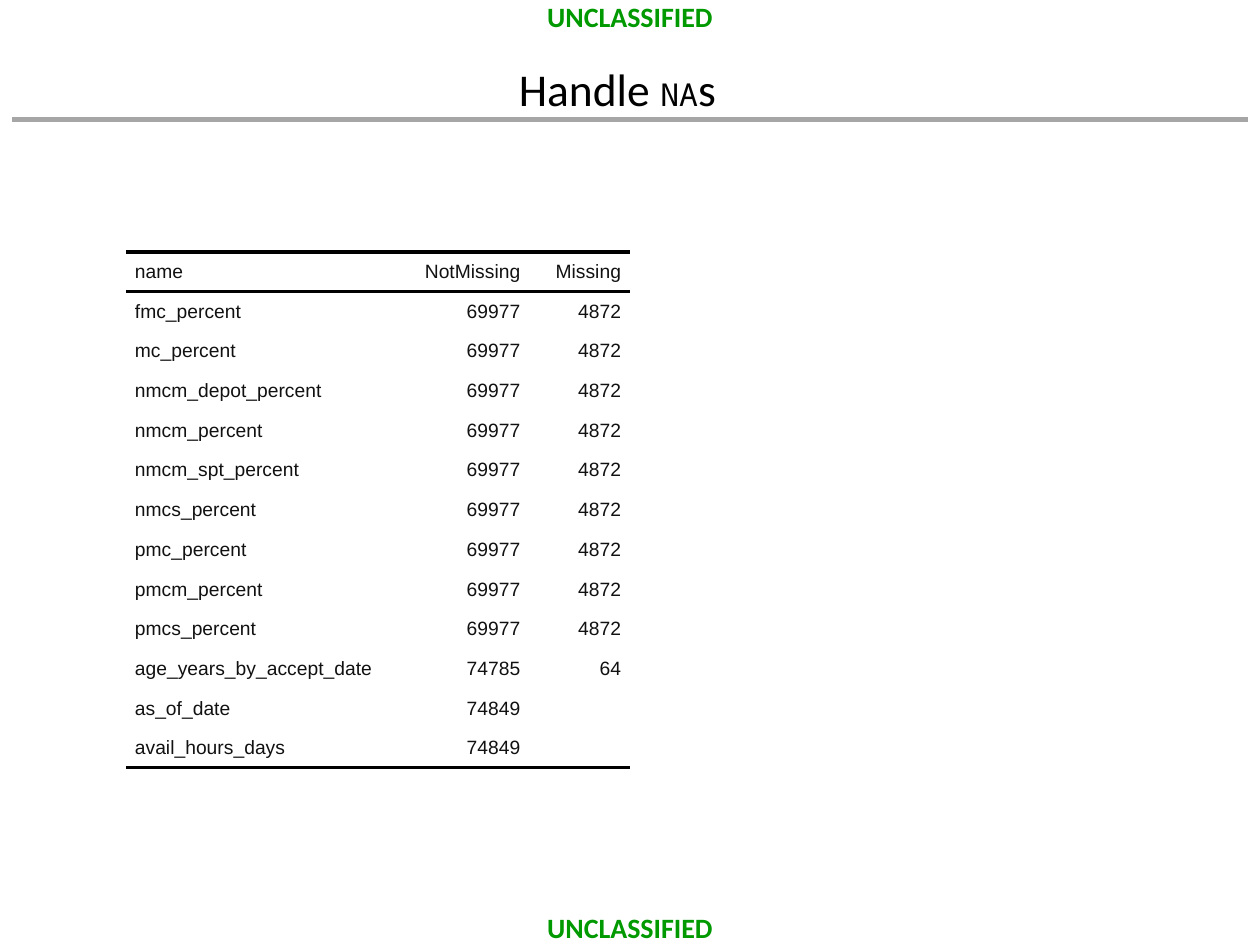
from lxml import etree
from pptx import Presentation
from pptx import util as u
from pptx.dml.color import RGBColor
from pptx.enum import shapes, text
from pptx.oxml import ns

INK = {"black": "000000", "cell": "111111", "mark": "009900", "rule": "A6A6A6"}
PLAIN = "{2D5ABB26-0587-4C30-8999-92F81FD0307C}"
HEAD = ("name", "NotMissing", "Missing")
RATES = ("fmc", "mc", "nmcm_depot", "nmcm", "nmcm_spt", "nmcs", "pmc", "pmcm", "pmcs")
ROWS = [HEAD] + [(f"{rate}_percent", "69977", "4872") for rate in RATES] + [
    ("age_years_by_accept_date", "74785", "64"),
    ("as_of_date", "74849", ""),
    ("avail_hours_days", "74849", ""),
]


def say(para, words, size=11, face="Arial", ink="cell", bold=False, align="LEFT"):
    """Add a formatted run to a paragraph."""
    run = para.add_run()
    run.text = words
    run.font.size = u.Pt(size)
    run.font.name = face
    run.font.bold = bold
    run.font.color.rgb = RGBColor.from_string(INK[ink])
    para.alignment = getattr(text.PP_ALIGN, align)


def trim(item, side=0):
    """Set the side margins and clear the top and bottom ones."""
    item.margin_left = item.margin_right = u.Cm(side)
    item.margin_top = item.margin_bottom = 0


def mark(slide, top):
    """Place a classification marking."""
    box = slide.shapes.add_textbox(u.Cm(11), u.Cm(top), u.Cm(3.4), u.Cm(0.69))
    frame = box.text_frame
    trim(frame)
    frame.word_wrap = False
    say(frame.paragraphs[0], "UNCLASSIFIED", size=16, face="Calibri",
        ink="mark", bold=True, align="CENTER")


def rule(slide):
    """Draw the line under the title."""
    line = slide.shapes.add_connector(
        shapes.MSO_CONNECTOR.STRAIGHT, u.Cm(25.15), u.Cm(2.41), u.Cm(0.25), u.Cm(2.41))
    line.line.color.rgb = RGBColor.from_string(INK["rule"])
    line.line.width = u.Pt(3)
    etree.SubElement(line._element.spPr, ns.qn("a:effectLst"))


def title(slide):
    """Fill the title placeholder."""
    box = slide.shapes.title
    box.left, box.top, box.width, box.height = map(u.Cm, (2.16, 0.64, 20.57, 1.7))
    frame = box.text_frame
    trim(frame)
    frame.word_wrap = True
    frame.auto_size = text.MSO_AUTO_SIZE.NONE
    frame.vertical_anchor = text.MSO_ANCHOR.BOTTOM
    para = frame.paragraphs[0]
    para.line_spacing = 0.9
    for words, size, face in (("Handle ", 26, "Calibri"), ("NA", 18, "Noto Sans Mono"),
                              ("s", 26, "Calibri")):
        say(para, words, size=size, face=face, ink="black", align="CENTER")


def edge(cell, side):
    """Draw one black cell border."""
    line = etree.SubElement(cell._tc.get_or_add_tcPr(), ns.qn(f"a:{side}"), w=str(u.Pt(2)))
    fill = etree.SubElement(line, ns.qn("a:solidFill"))
    etree.SubElement(fill, ns.qn("a:srgbClr"), val=INK["black"])


def table(slide):
    """Build the table of missing counts."""
    high = u.Cm(0.8)
    grid = slide.shapes.add_table(len(ROWS), len(HEAD), u.Cm(2.54), u.Cm(5.08),
                                  u.Cm(10.16), high * len(ROWS)).table
    grid.first_row = grid.horz_banding = False
    grid._tbl.tblPr[0].text = PLAIN
    for col, wide in zip(grid.columns, (5.49, 2.64, 2.03)):
        col.width = u.Cm(wide)
    for r, row in enumerate(ROWS):
        grid.rows[r].height = high
        for c, words in enumerate(row):
            cell = grid.cell(r, c)
            trim(cell, 0.18)
            cell.vertical_anchor = text.MSO_ANCHOR.MIDDLE
            para = cell.text_frame.paragraphs[0]
            para.space_before = para.space_after = u.Pt(2)
            say(para, words, align="RIGHT" if c else "LEFT")
            if r == 0:
                edge(cell, "lnT")
            if r in (0, len(ROWS) - 1):
                edge(cell, "lnB")
            cell.fill.background()


def main():
    """Build and save the slide."""
    deck = Presentation()
    deck.slide_width, deck.slide_height = u.Cm(25.4), u.Cm(19.05)
    slide = deck.slides.add_slide(deck.slide_layouts[5])
    for top in (18.36, 0):
        mark(slide, top)
    rule(slide)
    title(slide)
    table(slide)
    deck.save("out.pptx")


if __name__ == "__main__":
    main()
